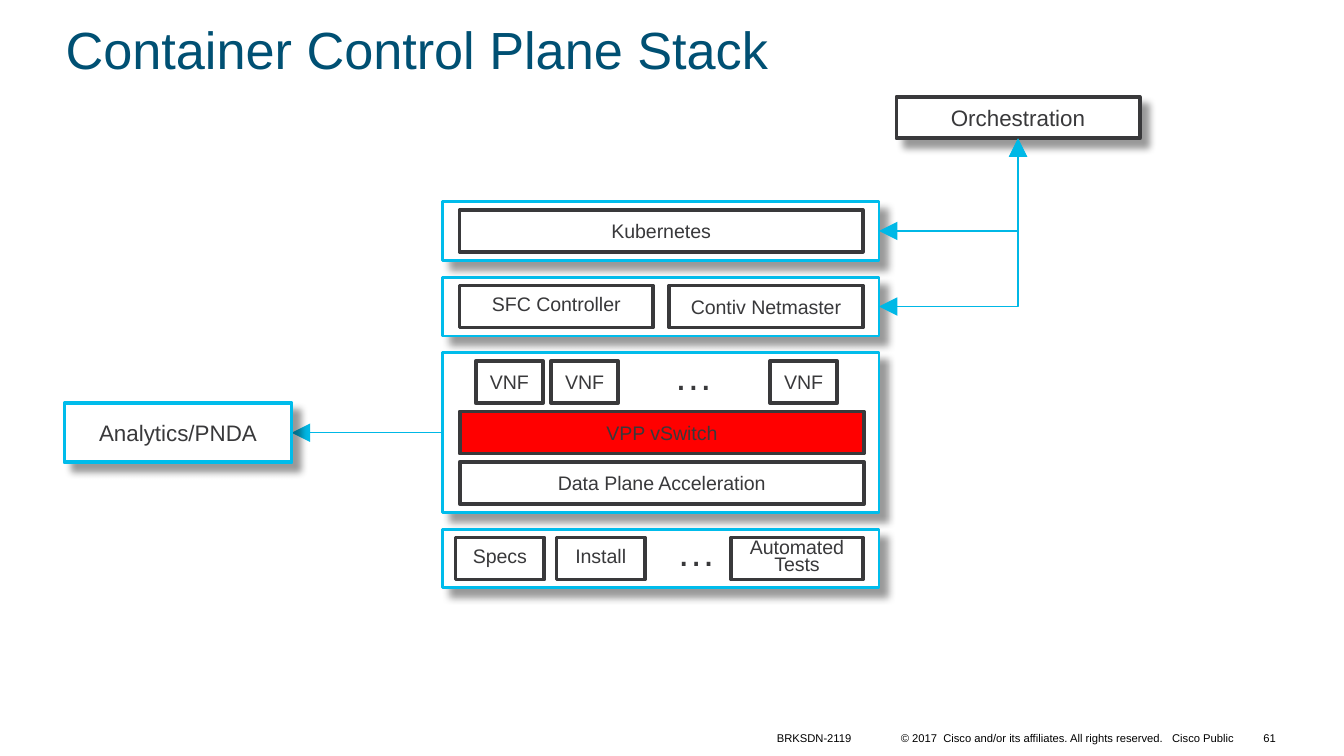
from lxml import etree
from pptx import Presentation
from pptx import util as u
from pptx.dml.color import RGBColor
from pptx.enum import shapes, text
from pptx.oxml import ns

WHITE = RGBColor(0xFF, 0xFF, 0xFF)
BLACK = RGBColor(0, 0, 0)
RED = RGBColor(0xFF, 0, 0)
NAVY = RGBColor(0, 0x50, 0x73)
CYAN = RGBColor(0, 0xBC, 0xEB)
ARROW_BLUE = RGBColor(0, 0xB8, 0xE6)
CHARCOAL = RGBColor(0x39, 0x39, 0x3B)

FONT = "Arial"
LEFT, CENTER, RIGHT = text.PP_ALIGN.LEFT, text.PP_ALIGN.CENTER, text.PP_ALIGN.RIGHT
TOP, MIDDLE, BOTTOM = text.MSO_ANCHOR.TOP, text.MSO_ANCHOR.MIDDLE, text.MSO_ANCHOR.BOTTOM

# The stack sits on a grid of sixteenths of an inch
UNIT = 1 / 16
PANEL_GAP = 2 * UNIT
ROW_TOP, ROW_STEP, ROW_HEIGHT = UNIT, 6 * UNIT, 5 * UNIT
DOTS = "…"
TIGHT = u.Pt(9)  # exact line spacing

# Each panel: height, then rows of (label, offset, width, fill, line spacing)
PANELS = [
    (7 * UNIT, [[("Kubernetes", 0.13, 3, WHITE, None)]]),
    (7 * UNIT, [[("SFC Controller", 0.13, 1.44, WHITE, TIGHT),
                 ("Contiv Netmaster", 1.69, 1.44, WHITE, None)]]),
    (19 * UNIT, [[("VNF", 0.25, 0.5, WHITE, None),
                  ("VNF", 0.81, 0.5, WHITE, None),
                  (DOTS, 1.65, 0.44, None, None),
                  ("VNF", 2.44, 0.5, WHITE, None)],
                 [("VPP vSwitch", 0.13, 3.01, RED, None)],
                 [("Data Plane Acceleration", 0.13, 3.01, WHITE, None)]]),
    (7 * UNIT, [[("Specs", 0.1, 0.66, WHITE, TIGHT),
                 ("Install", 0.85, 0.66, WHITE, TIGHT),
                 (DOTS, 1.5, 0.78, None, None),
                 ("Automated Tests", 2.15, 0.98, WHITE, TIGHT)]]),
]


def apply(target, values):
    for name, value in values.items():
        setattr(target, name, value)


def inches(*lengths):
    return [u.Inches(length) for length in lengths]


def write(shape, words, size, color, align=CENTER, anchor=MIDDLE,
          spacing=None, side=0.05, edge=0.05):
    frame = shape.text_frame
    apply(frame, {"word_wrap": True, "vertical_anchor": anchor,
                  "margin_left": u.Inches(side), "margin_right": u.Inches(side),
                  "margin_top": u.Inches(edge), "margin_bottom": u.Inches(edge)})
    para = frame.paragraphs[0]
    apply(para, {"alignment": align, "line_spacing": spacing})
    span = para.add_run()
    span.text = words
    apply(span.font, {"name": FONT, "size": u.Pt(size)})
    span.font.color.rgb = color


def add_label(page, box, words, size, color, **layout):
    write(page.shapes.add_textbox(*inches(*box)), words, size, color, **layout)


def add_box(page, box, outline, weight, fill=WHITE, shadow=False):
    shape = page.shapes.add_shape(shapes.MSO_SHAPE.RECTANGLE, *inches(*box))
    shape.fill.solid()
    shape.fill.fore_color.rgb = fill
    shape.line.color.rgb = outline
    shape.line.width = u.Pt(weight)
    shape.shadow.inherit = False
    if shadow:
        effects = shape._element.spPr.find(ns.qn("a:effectLst"))
        outer = etree.SubElement(effects, ns.qn("a:outerShdw"), blurRad=str(u.Pt(4)),
                                 dist=str(u.Pt(6)), dir="2700000", algn="tl",
                                 rotWithShape="0")
        tint = etree.SubElement(outer, ns.qn("a:srgbClr"), val=str(BLACK))
        etree.SubElement(tint, ns.qn("a:alpha"), val="40000")
    return shape


def style_arrow(arrow, ends):
    arrow.line.color.rgb = ARROW_BLUE
    arrow.line.width = u.Pt(0.75)
    for end in ends:
        etree.SubElement(arrow.line._get_or_add_ln(), ns.qn(f"a:{end}"),
                         type="triangle", w="lg", len="lg")
    etree.SubElement(arrow._element.spPr, ns.qn("a:effectLst"))


def add_corner_arrow(page, start, end):
    """Run down from start, then left to end, with a head at both ends."""
    drop, run = end[1] - start[1], start[0] - end[0]
    middle_x, middle_y = (start[0] + end[0]) / 2, (start[1] + end[1]) / 2
    arrow = page.shapes.add_connector(
        shapes.MSO_CONNECTOR.ELBOW,
        *inches(middle_x - drop / 2, middle_y - run / 2,
                middle_x + drop / 2, middle_y + run / 2))
    arrow.rotation = 90
    arrow._element.spPr.find(ns.qn("a:prstGeom")).set("prst", "bentConnector2")
    style_arrow(arrow, ["headEnd", "tailEnd"])


def add_panel(page, box, rows):
    left, top, _, _ = box
    add_box(page, box, CYAN, 1.5, shadow=True)
    for index, row in enumerate(rows):
        row_top = top + ROW_TOP + index * ROW_STEP
        for words, offset, width, fill, spacing in row:
            if words == DOTS:
                add_label(page, (left + offset, row_top - 2 * UNIT, width, 0.45),
                          words, 21, CHARCOAL, anchor=TOP)
            else:
                part = add_box(page, (left + offset, row_top, width, ROW_HEIGHT),
                               CHARCOAL, 2, fill)
                write(part, words, 10.5, CHARCOAL, spacing=spacing)


def add_stack(page, box):
    left, top, width, _ = box
    for height, rows in PANELS:
        add_panel(page, (left, top, width, height), rows)
        top += height + PANEL_GAP


def add_orchestration(page, box, stack):
    left, top, width, height = box
    shape = add_box(page, box, CHARCOAL, 2, shadow=True)
    write(shape, "Orchestration", 12, CHARCOAL)
    # Arrows to the middle of the first two panels
    target_top = stack[1]
    for panel_height, _ in PANELS[:2]:
        add_corner_arrow(page, (left + width / 2, top + height),
                         (stack[0] + stack[2], target_top + panel_height / 2))
        target_top += panel_height + PANEL_GAP


def add_analytics(page, box, stack):
    left, top, width, height = box
    middle = top + height / 2
    arrow = page.shapes.add_connector(shapes.MSO_CONNECTOR.STRAIGHT,
                                      *inches(stack[0], middle, left + width, middle))
    style_arrow(arrow, ["tailEnd"])
    shape = add_box(page, box, CYAN, 2, shadow=True)
    write(shape, "Analytics/PNDA", 12, CHARCOAL)


def add_footer(page, box):
    left, top, _, height = box
    small = {"anchor": BOTTOM, "side": 0.07, "edge": 0.03}
    add_label(page, (left, top, 0.78, height), "BRKSDN-2119", 6, BLACK,
              align=LEFT, **small)
    add_label(page, (left + 0.84, top, 2.7, height),
              "© 2017  Cisco and/or its affiliates. All rights reserved.   Cisco Public",
              6, BLACK, align=RIGHT, **small)
    add_label(page, (left + 3.49, top - 0.06, 0.39, 0.3), "61", 6, BLACK,
              align=RIGHT, side=0.1)


def main():
    deck = Presentation()
    width = u.Inches(10)
    apply(deck, {"slide_width": width, "slide_height": width * 9 // 16})
    page = deck.slides.add_slide(deck.slide_layouts[6])
    stack = (3.29, 1.5, 3.25, 2.88)

    # Title
    add_label(page, (0.39, 0.17, 9.31, 0.48), "Container Control Plane Stack", 28, NAVY,
              align=LEFT, anchor=BOTTOM, spacing=0.9, side=0.1)
    # Diagram
    add_stack(page, stack)
    add_orchestration(page, (6.67, 0.72, 1.81, 0.31), stack)
    add_analytics(page, (0.48, 3, 1.69, 0.44), stack)
    # Footer
    add_footer(page, (5.71, 5.4, 3.88, 0.17))
    deck.save("out.pptx")


if __name__ == "__main__":
    main()
